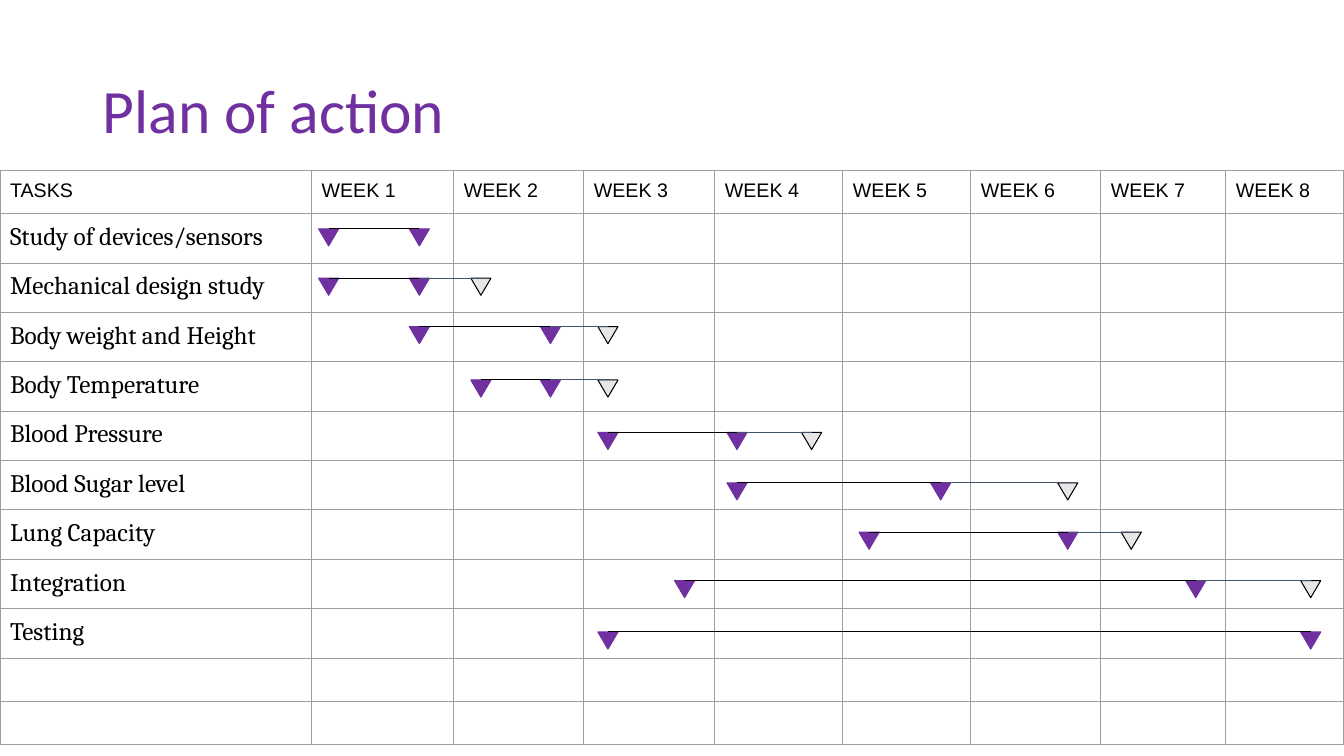
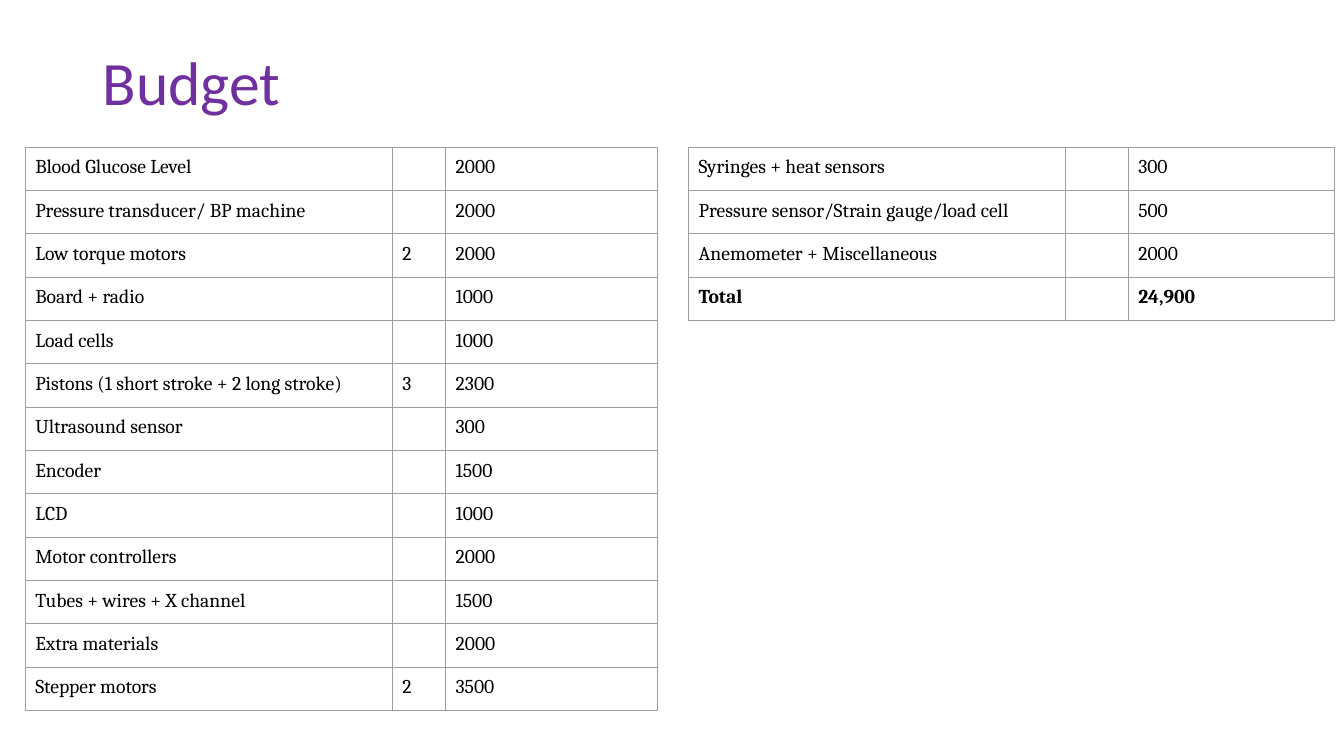
import pptx
import pptx.dml.color
import pptx.enum.shapes
import pptx.enum.text
import pptx.oxml
import pptx.oxml.ns
import pptx.util

Inches = pptx.util.Inches
Pt = pptx.util.Pt
RGBColor = pptx.dml.color.RGBColor

PURPLE = RGBColor(0x70, 0x30, 0xA0)
BLACK = RGBColor(0x00, 0x00, 0x00)
LIGHT_GREY = RGBColor(0xE7, 0xE6, 0xE6)
SLATE = RGBColor(0x44, 0x54, 0x6A)
GRID_GREY = RGBColor(0x9E, 0x9E, 0x9E)

PAD = Inches(0.1)
CELL_PAD_V = Inches(0.09)
MARKER_W, MARKER_H = 0.2, 0.17
HEADER_H, TASK_H = 0.43, 0.49

WEEK_COLS = [3.09, 1.41, 1.29, 1.3, 1.27, 1.27, 1.29, 1.24, 1.17]
TASKS = [
    ("Study of devices/sensors", 2.27, [3.26, 4.16]),
    ("Mechanical design study", 2.76, [3.26, 4.16, 4.77]),
    ("Body weight and Height", 3.24, [4.16, 5.46, 6.03]),
    ("Body Temperature", 3.77, [4.77, 5.46, 6.03]),
    ("Blood Pressure", 4.29, [6.03, 7.31, 8.05]),
    ("Blood Sugar level", 4.79, [7.31, 9.33, 10.59]),
    ("Lung Capacity", 5.28, [8.62, 10.59, 11.22]),
    ("Integration", 5.76, [6.79, 11.86, 13]),
    ("Testing", 6.27, [6.03, 13]),
]
BUDGET = [
    ("Blood Glucose Level", "", "2000"),
    ("Pressure transducer/ BP machine", "", "2000"),
    ("Low torque motors", "2", "2000"),
    ("Board + radio", "", "1000"),
    ("Load cells", "", "1000"),
    ("Pistons (1 short stroke + 2 long stroke)", "3", "2300"),
    ("Ultrasound sensor", "", "300"),
    ("Encoder", "", "1500"),
    ("LCD", "", "1000"),
    ("Motor controllers", "", "2000"),
    ("Tubes + wires + X channel", "", "1500"),
    ("Extra materials", "", "2000"),
    ("Stepper motors", "2", "3500"),
]
BUDGET_REST = [
    ("Syringes + heat sensors", "", "300"),
    ("Pressure sensor/Strain gauge/load cell", "", "500"),
    ("Anemometer + Miscellaneous", "", "2000"),
    ("Total", "", "24,900"),
]


class Deck:
    def __init__(self):
        self.prs = pptx.Presentation()
        self.prs.slide_width = Inches(13.33)
        self.prs.slide_height = Inches(7.5)
        self.s = None

    def slide(self, title, top):
        self.s = self.prs.slides.add_slide(self.prs.slide_layouts[6])
        sp = self.s.shapes.add_textbox(Inches(0.92), Inches(top), Inches(11.5), Inches(1.45))
        tf = sp.text_frame
        tf.word_wrap = True
        tf.vertical_anchor = pptx.enum.text.MSO_ANCHOR.MIDDLE
        tf.margin_left = tf.margin_right = tf.margin_top = tf.margin_bottom = PAD
        p = tf.paragraphs[0]
        p.text = title
        p.line_spacing = 0.9
        self.font(p, "Calibri", 44, PURPLE)

    def font(self, p, name, size, color=BLACK, bold=False):
        p.font.name = name
        p.font.size = Pt(size)
        p.font.color.rgb = color
        p.font.bold = bold

    def table(self, left, top, cols, heights, rows, style):
        frame = self.s.shapes.add_table(
            len(rows), len(cols), Inches(left), Inches(top),
            Inches(sum(cols)), Inches(sum(heights)))
        table = frame.table
        table.first_row = table.horz_banding = False
        for column, width in zip(table.columns, cols):
            column.width = Inches(width)
        for i, (row, height) in enumerate(zip(rows, heights)):
            table.rows[i].height = Inches(height)
            for j, text in enumerate(row):
                self.cell(table.cell(i, j), text, style(i))

    def cell(self, cell, text, style):
        self.borders(cell)
        cell.fill.background()
        if text:
            cell.margin_left = cell.margin_right = PAD
            cell.margin_top = cell.margin_bottom = CELL_PAD_V
            p = cell.text_frame.paragraphs[0]
            p.text = text
            self.font(p, **style)

    def borders(self, cell):
        tcPr = cell._tc.get_or_add_tcPr()
        for side in ("lnL", "lnR", "lnT", "lnB"):
            tcPr.append(pptx.oxml.parse_xml(
                f'<a:{side} {pptx.oxml.ns.nsdecls("a")} w="{Pt(0.75)}"><a:solidFill>'
                f'<a:srgbClr val="{GRID_GREY}"/></a:solidFill></a:{side}>'))

    def marker(self, center, top, fill, line):
        sp = self.s.shapes.add_shape(
            pptx.enum.shapes.MSO_SHAPE.FLOWCHART_MERGE,
            Inches(center - MARKER_W / 2), Inches(top), Inches(MARKER_W), Inches(MARKER_H))
        sp.shadow.inherit = False
        sp.fill.solid()
        sp.fill.fore_color.rgb = fill
        sp.line.color.rgb = line
        sp.line.width = Pt(0.75)
        return sp

    def link(self, start, end, color):
        cx = self.s.shapes.add_connector(pptx.enum.shapes.MSO_CONNECTOR.STRAIGHT, 0, 0, 0, 0)
        cx.begin_connect(start, 0)
        cx.end_connect(end, 0)
        cx.line.color.rgb = color
        cx.line.width = Pt(0.75)
        cx._element.spPr.append(pptx.oxml.parse_xml(
            f'<a:effectLst {pptx.oxml.ns.nsdecls("a")}/>'))

    def task_bar(self, top, centers):
        looks = [(PURPLE, PURPLE), (PURPLE, PURPLE), (LIGHT_GREY, BLACK)]
        markers = [self.marker(x, top, *look) for x, look in zip(centers, looks)]
        for start, end, color in zip(markers, markers[1:], (BLACK, SLATE)):
            self.link(start, end, color)


def plan_style(i):
    return dict(name="Cambria", size=18) if i else dict(name="Arial", size=14)


def budget_style(i):
    return dict(name="Cambria", size=14)


def total_style(i):
    return dict(budget_style(i), bold=i == len(BUDGET_REST) - 1)


def main():
    deck = Deck()

    deck.slide("Plan of action", 0.4)
    blanks = [""] * 8
    rows = [["TASKS"] + [f"WEEK {n}" for n in range(1, 9)]]
    rows += [[name] + blanks for name, _, _ in TASKS]
    rows += [[""] + blanks] * 2
    heights = [HEADER_H] + [TASK_H] * len(TASKS) + [HEADER_H] * 2
    deck.table(0, 1.69, WEEK_COLS, heights, rows, plan_style)
    for _, top, centers in TASKS:
        deck.task_bar(top, centers)

    deck.slide("Budget", 0.12)
    deck.table(0.25, 1.46, [3.64, 0.53, 2.1], [HEADER_H] * len(BUDGET), BUDGET, budget_style)
    deck.table(6.83, 1.46, [3.74, 0.62, 2.05], [HEADER_H] * len(BUDGET_REST),
               BUDGET_REST, total_style)

    deck.prs.save("out.pptx")


if __name__ == "__main__":
    main()
